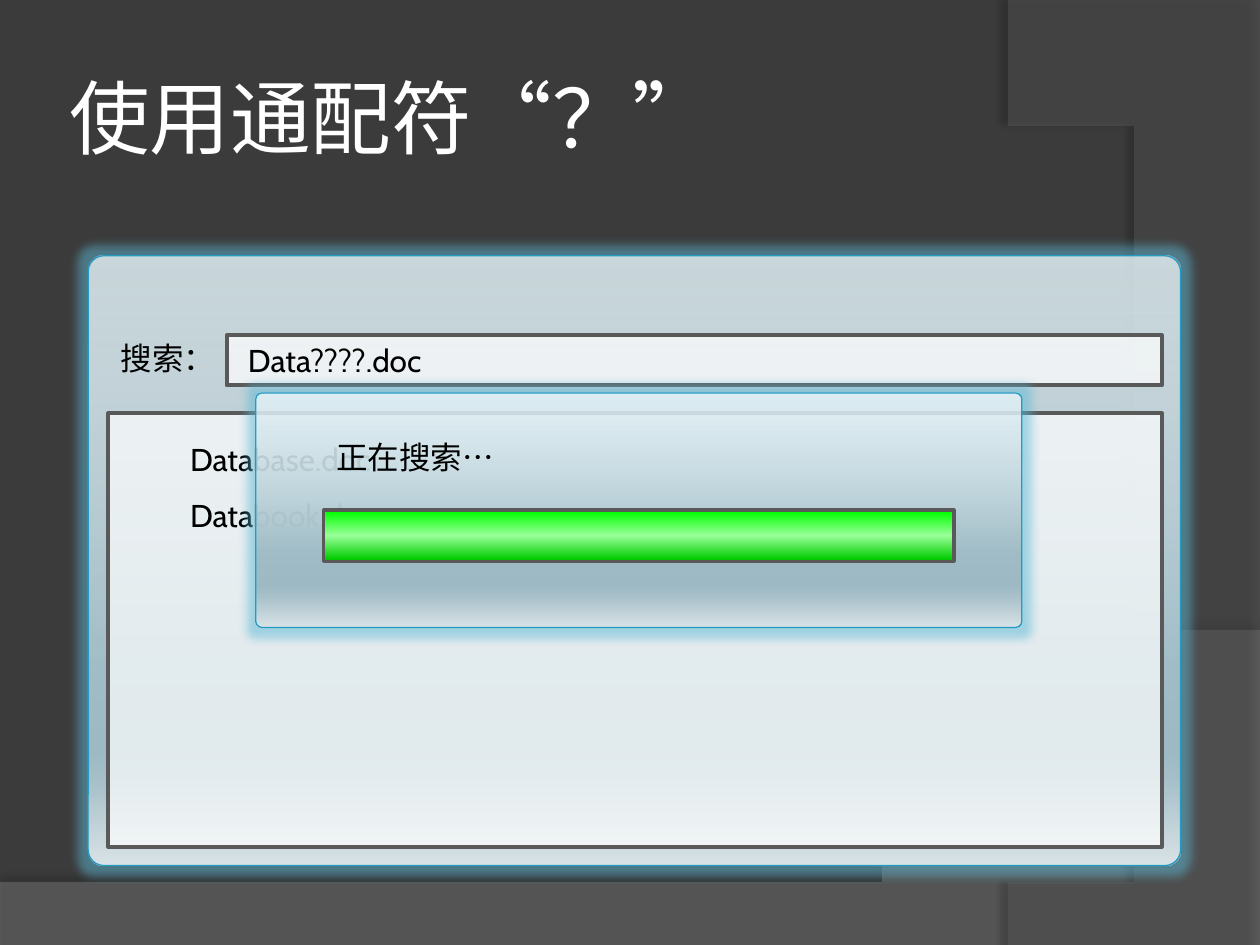
from dataclasses import dataclass

from lxml import etree
from pptx import Presentation
from pptx.dml.color import RGBColor
from pptx.enum import lang, shapes, text
from pptx.oxml import ns
from pptx.util import Inches, Pt

INK = {"back": "3B3B3B", "wave": "7F7F7F", "blade": "5E5E5E",
       "white": "FFFFFF", "black": "000000", "edge": "595959",
       "rim": "239BC2", "glow": "5CB8D6"}
GLASS = [(0, "FEFEFE", 70), (68, "A0BCC6", 100), (81, "9CB9C4", 100),
         (86, "A7C0C9", 100), (100, "DAE4E7", 100)]
GREEN = [(0, "00FF00", 100), (50, "99FF99", 100), (100, "00CC00", 100)]
RECT = shapes.MSO_SHAPE.RECTANGLE
ROUND = shapes.MSO_SHAPE.ROUNDED_RECTANGLE


@dataclass
class Box:
    x: float
    y: float
    w: float
    h: float

    def dims(self) -> list:
        return [Inches(v) for v in (self.x, self.y, self.w, self.h)]


@dataclass
class Label:
    box: Box
    lines: list
    font: str
    space: float = 1.0
    wrap: bool = True


def node(parent, tag: str, **attrs):
    return etree.SubElement(parent, ns.qn("a:" + tag),
                            {k: str(v) for k, v in attrs.items()})


def tint(parent, color: str, alpha: int) -> None:
    clr = node(parent, "srgbClr", val=color)
    if alpha < 100:
        node(clr, "alpha", val=alpha * 1000)


def paint(shape, color: str, alpha: int) -> None:
    shape.fill.solid()
    shape.fill.fore_color.rgb = RGBColor.from_string(color)
    clr = shape.fill._xPr.find(ns.qn("a:solidFill"))[0]
    node(clr, "alpha", val=alpha * 1000)


def blend(shape, stops: list) -> None:
    """Fill from top to bottom with (position, colour, opacity) stops."""
    shape.fill.gradient()
    shape.fill.gradient_angle = 270
    grad = shape.fill._xPr.find(ns.qn("a:gradFill"))
    items = grad.find(ns.qn("a:gsLst"))
    for old in list(items):
        items.remove(old)
    for pos, color, alpha in stops:
        tint(node(items, "gs", pos=pos * 1000), color, alpha)


def effect(shape, tag: str, color: str, alpha: int, **attrs) -> None:
    shape.shadow.inherit = False
    held = shape._element.spPr.find(ns.qn("a:effectLst"))
    tint(node(held, tag, **attrs), color, alpha)


def curve(a, b, c, d, steps: int = 48) -> list:
    """Points along a cubic Bezier, without its start."""
    def at(t, i):
        s = 1 - t
        return (s**3 * a[i] + 3 * s * s * t * b[i]
                + 3 * s * t * t * c[i] + t**3 * d[i])
    return [(at(n / steps, 0), at(n / steps, 1)) for n in range(1, steps + 1)]


def swoosh(tree, points: list, color: str, alpha: int,
           shade: int, dist: float, angle: int) -> None:
    build = tree.build_freeform(*points[0], scale=Inches(1))
    build.add_line_segments(points[1:], close=True)
    shape = build.convert_to_shape()
    paint(shape, color, alpha)
    shape.line.fill.background()
    effect(shape, "outerShdw", INK["black"], shade, blurRad=Pt(4),
           dist=Pt(dist), dir=angle * 60000)


def border(shape, color: str, width: float) -> None:
    shape.line.color.rgb = RGBColor.from_string(color)
    shape.line.width = Pt(width)


def panel(tree, box: Box) -> None:
    shape = tree.add_shape(ROUND, *box.dims())
    shape.adjustments[0] = 0.026
    blend(shape, GLASS)
    border(shape, INK["rim"], 0.75)
    effect(shape, "glow", INK["glow"], 50, rad=Pt(10))


def field(tree, box: Box) -> None:
    shape = tree.add_shape(RECT, *box.dims())
    shape.shadow.inherit = False
    paint(shape, INK["white"], 70)
    border(shape, INK["edge"], 2.25)


def style(para, font: str, size: float, color: str) -> None:
    para.font.name = font
    para.font.size = Pt(size)
    para.font.color.rgb = RGBColor.from_string(color)


def write(tree, label: Label) -> None:
    frame = tree.add_textbox(*label.box.dims()).text_frame
    frame.word_wrap = label.wrap
    frame.auto_size = text.MSO_AUTO_SIZE.SHAPE_TO_FIT_TEXT
    frame.text = "\n".join(label.lines)
    for para in frame.paragraphs:
        para.line_spacing = label.space
        style(para, label.font, 18, INK["black"])


def head(shape, words: str) -> None:
    shape.left, shape.top, shape.width, shape.height = Box(0.5, 0.3, 8.17, 1.25).dims()
    frame = shape.text_frame
    frame.text = words
    frame.vertical_anchor = text.MSO_ANCHOR.MIDDLE
    frame.margin_left = frame.margin_right = Inches(0.05)
    frame.margin_top = frame.margin_bottom = Inches(0.05)
    para = frame.paragraphs[0]
    para.alignment = text.PP_ALIGN.LEFT
    para.runs[0].font.language_id = lang.MSO_LANGUAGE_ID.SIMPLIFIED_CHINESE
    style(para, "Lato", 46, INK["white"])


def main() -> None:
    deck = Presentation()
    deck.slide_width, deck.slide_height = Inches(10), Inches(7.5)
    slide = deck.slides.add_slide(deck.slide_layouts[5])
    slide.background.fill.solid()
    slide.background.fill.fore_color.rgb = RGBColor.from_string(INK["back"])
    tree = slide.shapes

    wave = [(0, 7.05), (0, 7.5), (10, 7.5), (10, 5.2)]
    wave += curve((10, 5.2), (5.59, 7.29), (3.91, 7.19), (0, 7.05))
    swoosh(tree, wave, INK["wave"], 45, 35, 3.5, 270)
    blade = [(10, 0.02), (10, 7.5), (8.21, 7.5)]
    blade += curve((8.21, 7.5), (9.35, 6.19), (10.18, 3), (8, 0))
    swoosh(tree, blade, INK["blade"], 40, 45, 4, 180)

    head(tree.title, "使用通配符“？”")

    window = tree.add_group_shape().shapes
    panel(window, Box(0.7, 2.03, 8.67, 4.84))
    field(window, Box(0.86, 3.28, 8.36, 3.44))
    write(window, Label(Box(0.86, 2.64, 0.94, 0.4), ["搜索："], "Arial", wrap=False))
    field(window, Box(1.8, 2.66, 7.42, 0.4))

    write(tree, Label(Box(1.87, 2.66, 2.5, 0.4), ["Data????.doc"], "Cabin"))
    write(tree, Label(Box(1.41, 3.29, 2.89, 1.01),
                      ["Database.doc", "Databook.doc"], "Cabin", 1.5))

    popup = tree.add_group_shape().shapes
    panel(popup, Box(2.03, 3.12, 6.08, 1.86))
    write(popup, Label(Box(2.57, 3.43, 2.27, 0.4), ["正在搜索…"], "Arial"))
    field(popup, Box(2.57, 4.05, 5, 0.4))

    bar = tree.add_shape(RECT, *Box(2.58, 4.06, 4.98, 0.38).dims())
    bar.shadow.inherit = False
    bar.line.fill.background()
    blend(bar, GREEN)

    deck.save("out.pptx")


if __name__ == "__main__":
    main()
